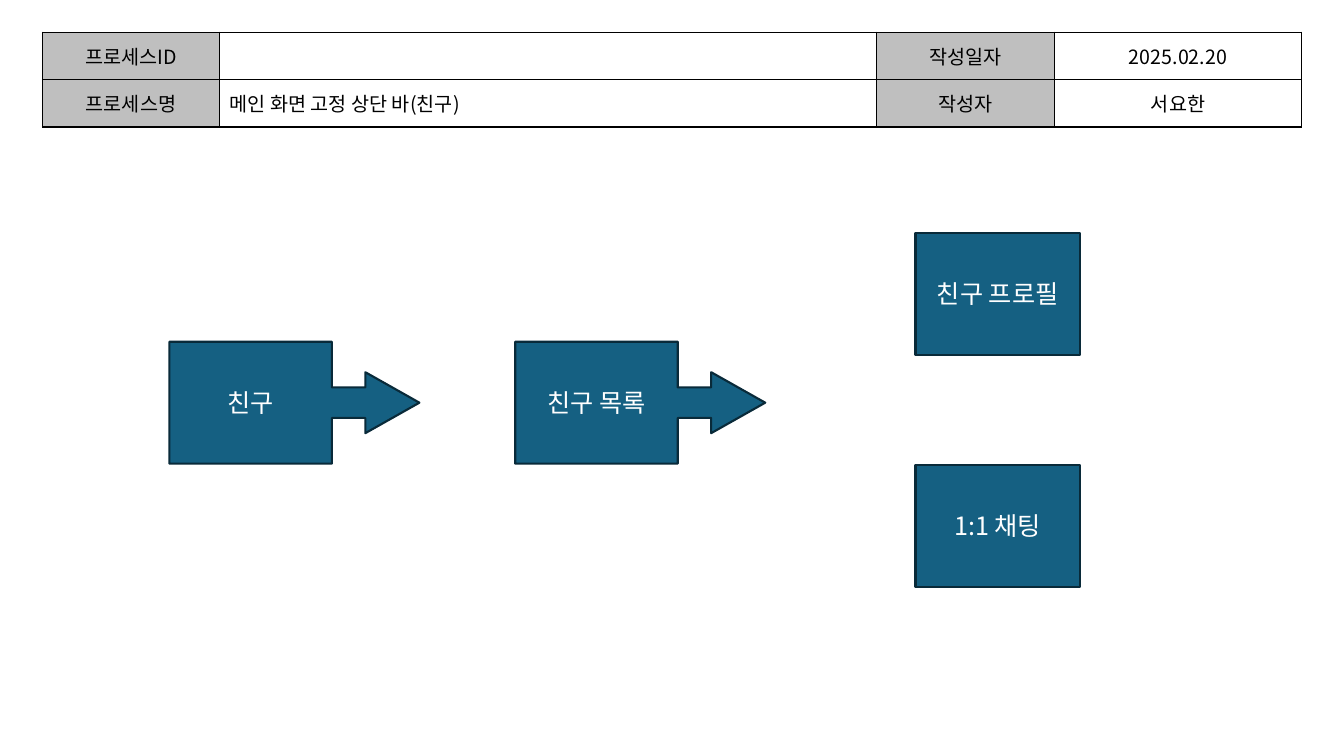
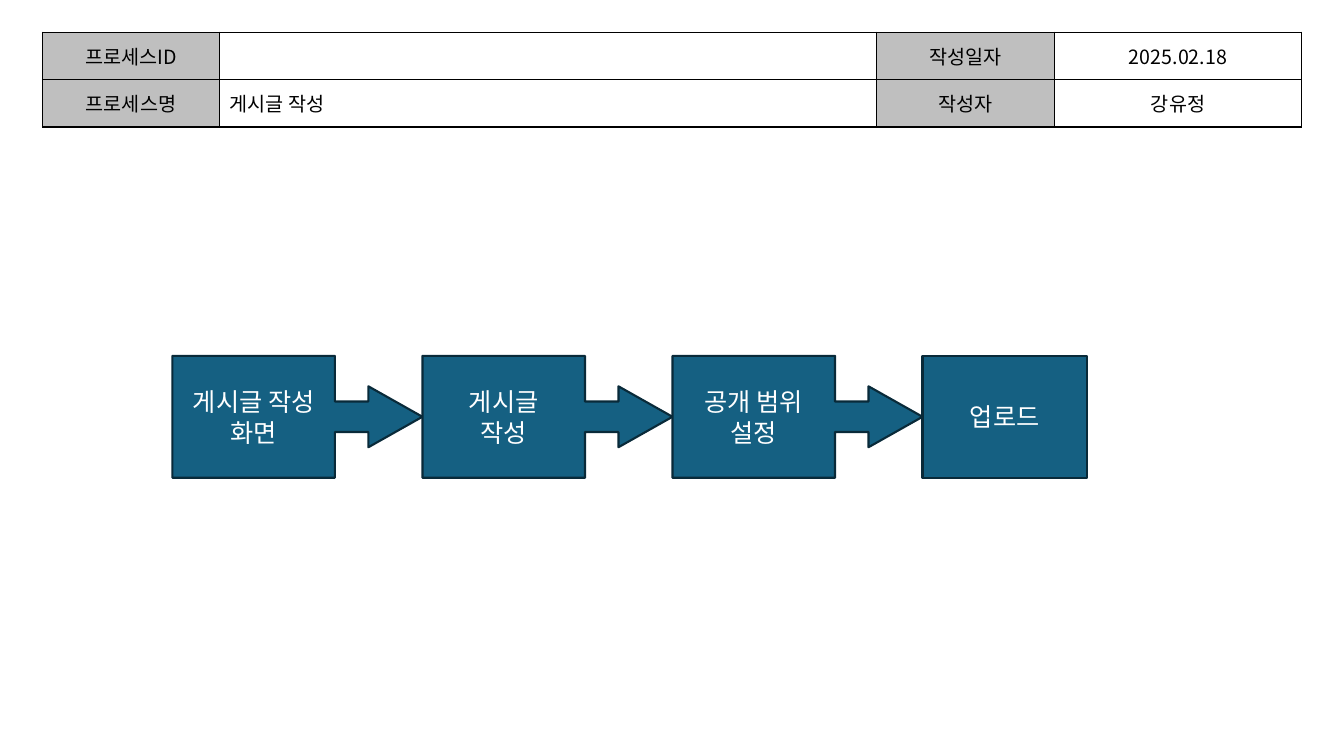
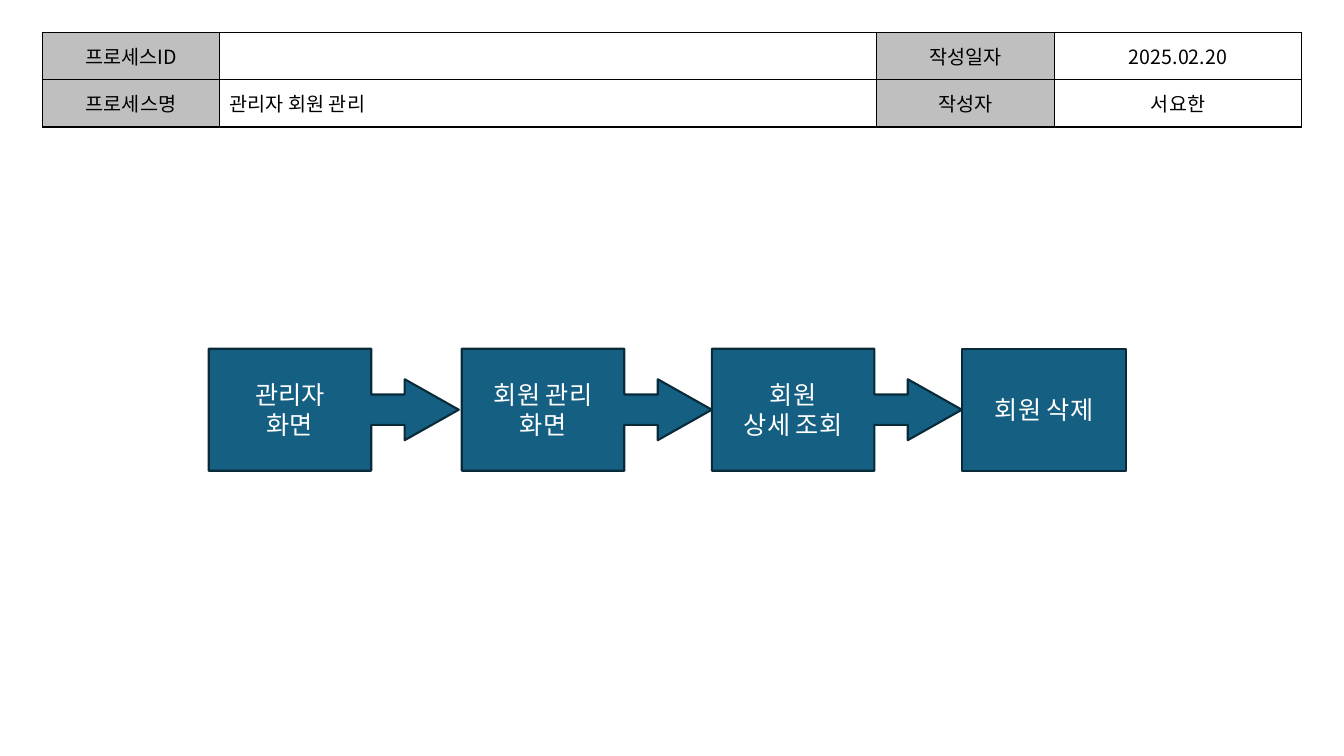
from dataclasses import dataclass

from lxml.etree import SubElement
from pptx import Presentation
from pptx.dml.color import RGBColor
from pptx.enum.shapes import MSO_SHAPE
from pptx.enum.text import MSO_ANCHOR, PP_ALIGN
from pptx.oxml.ns import qn
from pptx.util import Pt

EMU_PER_PX = 9144


def px(length):
    return length * EMU_PER_PX


@dataclass(frozen=True)
class Theme:
    font: str = "Noto Sans CJK KR"
    ink: str = "000000"
    label_fill: str = "BFBFBF"
    step_fill: str = "156082"
    step_line: str = "092A39"
    step_ink: str = "FFFFFF"
    table_size: int = 14
    step_size: int = 18
    border_width: float = 1
    step_line_width: float = 1.5


class ProcessDeck:
    COLUMNS = (176, 651, 177, 245)
    ROWS = (47, 47, 588)
    STEP_WIDTH, STEP_HEIGHT = 163, 121
    ARROW_STEP_WIDTH = 248
    ARROW_ADJUSTMENTS = (0.25, 0.25, 0.443, 0.65)

    def __init__(self, theme):
        self.theme = theme
        self.deck = Presentation()
        self.deck.slide_width = px(1333)
        self.deck.slide_height = px(750)
        self.slide = None

    def process(self, name, date, author):
        self.slide = self.deck.slides.add_slide(self.deck.slide_layouts[6])
        self.header((("프로세스ID", "", "작성일자", date),
                     ("프로세스명", name, "작성자", author)))

    def add_lines(self, frame, lines, size, color, align):
        for index, line in enumerate(lines):
            paragraph = frame.paragraphs[0] if index == 0 else frame.add_paragraph()
            paragraph.alignment = align
            run = paragraph.add_run()
            run.text = line
            run.font.size = Pt(size)
            run.font.name = self.theme.font
            run.font.color.rgb = RGBColor.from_string(color)
            east_asian = SubElement(run.font._element, qn("a:ea"))
            east_asian.set("typeface", self.theme.font)

    def borders(self, cell, visible):
        properties = cell._tc.get_or_add_tcPr()
        for position, side in enumerate(("lnL", "lnR", "lnT", "lnB")):
            line = SubElement(properties, qn(f"a:{side}"))
            properties.insert(position, line)
            line.set("w", str(Pt(self.theme.border_width)))
            if side in visible:
                fill = SubElement(line, qn("a:solidFill"))
                SubElement(fill, qn("a:srgbClr")).set("val", self.theme.ink)
            else:
                SubElement(line, qn("a:noFill"))

    def header(self, entries):
        table = self.slide.shapes.add_table(
            len(self.ROWS), len(self.COLUMNS), px(42), px(32),
            px(sum(self.COLUMNS)), px(sum(self.ROWS))).table
        table.first_row = table.horz_banding = False
        for column, width in zip(table.columns, self.COLUMNS):
            column.width = px(width)
        for row, height in zip(table.rows, self.ROWS):
            row.height = px(height)
        for row, texts in enumerate(entries):
            for column, text in enumerate(texts):
                cell = table.cell(row, column)
                cell.vertical_anchor = MSO_ANCHOR.MIDDLE
                if column % 2 == 0:
                    cell.fill.solid()
                    cell.fill.fore_color.rgb = RGBColor.from_string(self.theme.label_fill)
                else:
                    cell.fill.background()
                self.borders(cell, ("lnL", "lnR", "lnT", "lnB"))
                if text:
                    self.add_lines(cell.text_frame, [text], self.theme.table_size, self.theme.ink,
                                   PP_ALIGN.LEFT if column == 1 else PP_ALIGN.CENTER)
        flow_row = len(entries)
        for column in range(len(self.COLUMNS)):
            flow_area = table.cell(flow_row, column)
            flow_area.fill.background()
            self.borders(flow_area, ("lnT",))
        table.cell(flow_row, 0).merge(table.cell(flow_row, len(self.COLUMNS) - 1))

    def step(self, left, top, *lines, arrow=False):
        kind = MSO_SHAPE.RIGHT_ARROW_CALLOUT if arrow else MSO_SHAPE.FLOWCHART_PROCESS
        width = self.ARROW_STEP_WIDTH if arrow else self.STEP_WIDTH
        step = self.slide.shapes.add_shape(
            kind, px(left), px(top), px(width), px(self.STEP_HEIGHT))
        if arrow:
            for index, value in enumerate(self.ARROW_ADJUSTMENTS):
                step.adjustments[index] = value
        step.shadow.inherit = False
        step.fill.solid()
        step.fill.fore_color.rgb = RGBColor.from_string(self.theme.step_fill)
        step.line.color.rgb = RGBColor.from_string(self.theme.step_line)
        step.line.width = Pt(self.theme.step_line_width)
        step.text_frame.word_wrap = True
        step.text_frame.vertical_anchor = MSO_ANCHOR.MIDDLE
        self.add_lines(step.text_frame, lines, self.theme.step_size,
                       self.theme.step_ink, PP_ALIGN.CENTER)

    def chain(self, left, top, steps):
        for index, lines in enumerate(steps):
            self.step(left + index * self.ARROW_STEP_WIDTH, top, *lines,
                      arrow=index < len(steps) - 1)


def main():
    flows = ProcessDeck(Theme())

    flows.process("메인 화면 고정 상단 바(친구)", "2025.02.20", "서요한")
    flows.step(168, 339, "친구", arrow=True)
    flows.step(511, 339, "친구 목록", arrow=True)
    flows.step(908, 231, "친구 프로필")
    flows.step(908, 461, "1:1 채팅")

    flows.process("게시글 작성", "2025.02.18", "강유정")
    flows.chain(171, 353, (("게시글 작성", "화면"), ("게시글", "작성"),
                           ("공개 범위", "설정"), ("업로드",)))

    flows.process("관리자 회원 관리", "2025.02.20", "서요한")
    flows.step(207, 346, "관리자", "화면", arrow=True)
    flows.chain(458, 346, (("회원 관리", "화면"), ("회원", "상세 조회"), ("회원 삭제",)))

    flows.deck.save("out.pptx")


if __name__ == "__main__":
    main()
